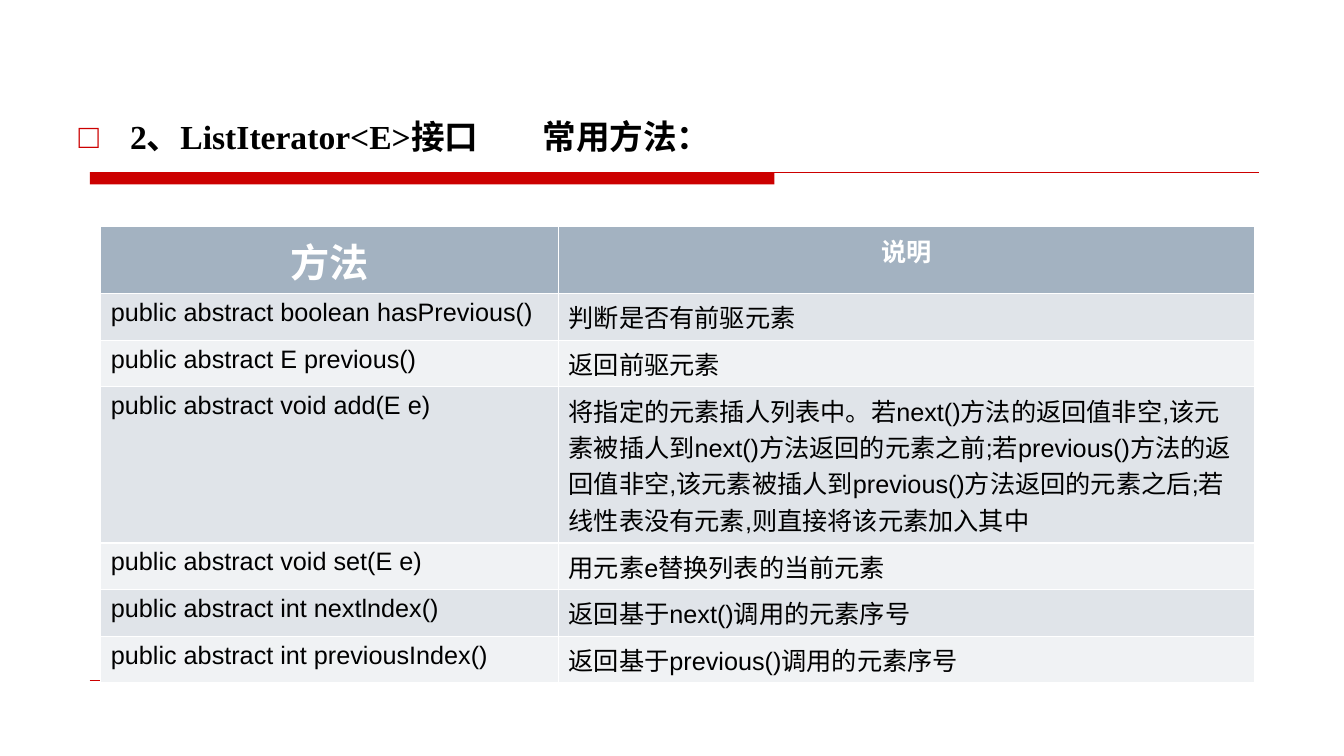
"""Build a slide that lists the common methods of ListIterator<E>."""
import dataclasses
import typing

import lxml.etree
import pptx
import pptx.dml.color
import pptx.enum.shapes
import pptx.enum.text
import pptx.oxml.ns
import pptx.util

Inches = pptx.util.Inches
Pt = pptx.util.Pt
qn = pptx.oxml.ns.qn


@dataclasses.dataclass(frozen=True)
class Theme:
    red: str = "CC0000"
    black: str = "000000"
    white: str = "FFFFFF"
    head: str = "A3B2C1"
    bands: tuple[str, str] = ("E0E4E9", "F0F2F4")
    serif: str = "Times New Roman"
    sans: str = "Arial"
    title: int = 24
    large: int = 28
    body: int = 18


@dataclasses.dataclass(frozen=True)
class Rule:
    left: float
    top: float
    right: float
    weight: float


@dataclasses.dataclass(frozen=True)
class Method:
    code: str
    note: str
    height: float = 0.46


THEME = Theme()
RULES = [Rule(0.89, 1.71, 12.49, 0.75), Rule(0.89, 6.75, 12.44, 0.25)]
WIDTHS = [4.54, 6.9]
HEAD = Method("方法", "说明", 0.65)
METHODS = [
    Method("public abstract boolean hasPrevious()", "判断是否有前驱元素"),
    Method("public abstract E previous()", "返回前驱元素"),
    Method(
        "public abstract void add(E e)",
        "将指定的元素插人列表中。若next()方法的返回值非空,该元素被插人到next()方法返回的元素之前;"
        "若previous()方法的返回值非空,该元素被插人到previous()方法返回的元素之后;"
        "若线性表没有元素,则直接将该元素加入其中",
        1.55,
    ),
    Method("public abstract void set(E e)", "用元素e替换列表的当前元素"),
    Method("public abstract int nextlndex()", "返回基于next()调用的元素序号"),
    Method("public abstract int previousIndex()", "返回基于previous()调用的元素序号"),
]


def color(code: str) -> pptx.dml.color.RGBColor:
    """Turn a hex code into a colour."""
    return pptx.dml.color.RGBColor.from_string(code)


def add_run(para: typing.Any, text: str, face: str, size: int, ink: str, bold: bool) -> None:
    """Add one styled run to a paragraph."""
    run = para.add_run()
    run.text = text
    run.font.name = face
    run.font.size = Pt(size)
    run.font.bold = bold
    run.font.color.rgb = color(ink)


def draw_rule(slide: typing.Any, rule: Rule) -> None:
    """Draw a thin level line."""
    line = slide.shapes.add_connector(
        pptx.enum.shapes.MSO_CONNECTOR.STRAIGHT,
        Inches(rule.left), Inches(rule.top), Inches(rule.right), Inches(rule.top),
    )
    line.line.color.rgb = color(THEME.red)
    line.line.width = Pt(rule.weight)
    lxml.etree.SubElement(line._element.spPr, qn("a:effectLst"))


def draw_bar(slide: typing.Any) -> None:
    """Draw the thick red bar under the heading."""
    bar = slide.shapes.add_shape(
        pptx.enum.shapes.MSO_SHAPE.RECTANGLE,
        Inches(0.89), Inches(1.71), Inches(6.79), Inches(0.12),
    )
    bar.shadow.inherit = False
    bar.fill.solid()
    bar.fill.fore_color.rgb = color(THEME.red)
    bar.line.fill.background()


def fill_head(body: typing.Any) -> None:
    """Place the bulleted heading in the body placeholder."""
    body.left, body.top = Inches(0.68), Inches(0.99)
    body.width, body.height = Inches(8.08), Inches(0.61)
    frame = body.text_frame
    frame.word_wrap = True
    frame.auto_size = pptx.enum.text.MSO_AUTO_SIZE.NONE
    frame.vertical_anchor = pptx.enum.text.MSO_ANCHOR.TOP
    para = frame.paragraphs[0]
    para.line_spacing = Pt(37)
    para.space_before = Pt(0)
    props = para._p.get_or_add_pPr()
    props.set("marL", str(Inches(0.51)))
    props.set("indent", str(Inches(-0.51)))
    tint = lxml.etree.SubElement(props, qn("a:buClr"))
    lxml.etree.SubElement(tint, qn("a:srgbClr"), val=THEME.red)
    lxml.etree.SubElement(props, qn("a:buChar"), char="□")
    tabs = lxml.etree.SubElement(props, qn("a:tabLst"))
    lxml.etree.SubElement(tabs, qn("a:tab"), pos=str(Inches(4.6)), algn="l")
    for text in ("2、ListIterator<E>接口", "\t常用方法："):
        add_run(para, text, THEME.serif, THEME.title, THEME.black, True)


def fill_cell(cell: typing.Any, text: str, size: int, back: str, head: bool) -> None:
    """Fill one table cell."""
    cell.fill.solid()
    cell.fill.fore_color.rgb = color(back)
    para = cell.text_frame.paragraphs[0]
    if head:
        para.alignment = pptx.enum.text.PP_ALIGN.CENTER
    add_run(para, text, THEME.sans, size, THEME.white if head else THEME.black, head)


def draw_table(slide: typing.Any) -> None:
    """Draw the table of methods."""
    rows = [HEAD, *METHODS]
    table = slide.shapes.add_table(
        len(rows), len(WIDTHS), Inches(1), Inches(2.25),
        Inches(sum(WIDTHS)), Inches(sum(row.height for row in rows)),
    ).table
    for column, width in zip(table.columns, WIDTHS):
        column.width = Inches(width)
    for index, row in enumerate(rows):
        head = index == 0
        table.rows[index].height = Inches(row.height)
        back = THEME.head if head else THEME.bands[(index - 1) % 2]
        fill_cell(table.cell(index, 0), row.code, THEME.large if head else THEME.body, back, head)
        fill_cell(table.cell(index, 1), row.note, THEME.body, back, head)


def main() -> None:
    """Build and save the deck."""
    deck = pptx.Presentation()
    deck.slide_width, deck.slide_height = Inches(13.33), Inches(7.5)
    slide = deck.slides.add_slide(deck.slide_layouts[1])
    title = slide.shapes.title._element
    title.getparent().remove(title)
    draw_bar(slide)
    for rule in RULES:
        draw_rule(slide, rule)
    fill_head(slide.placeholders[1])
    draw_table(slide)
    deck.save("out.pptx")


if __name__ == "__main__":
    main()
